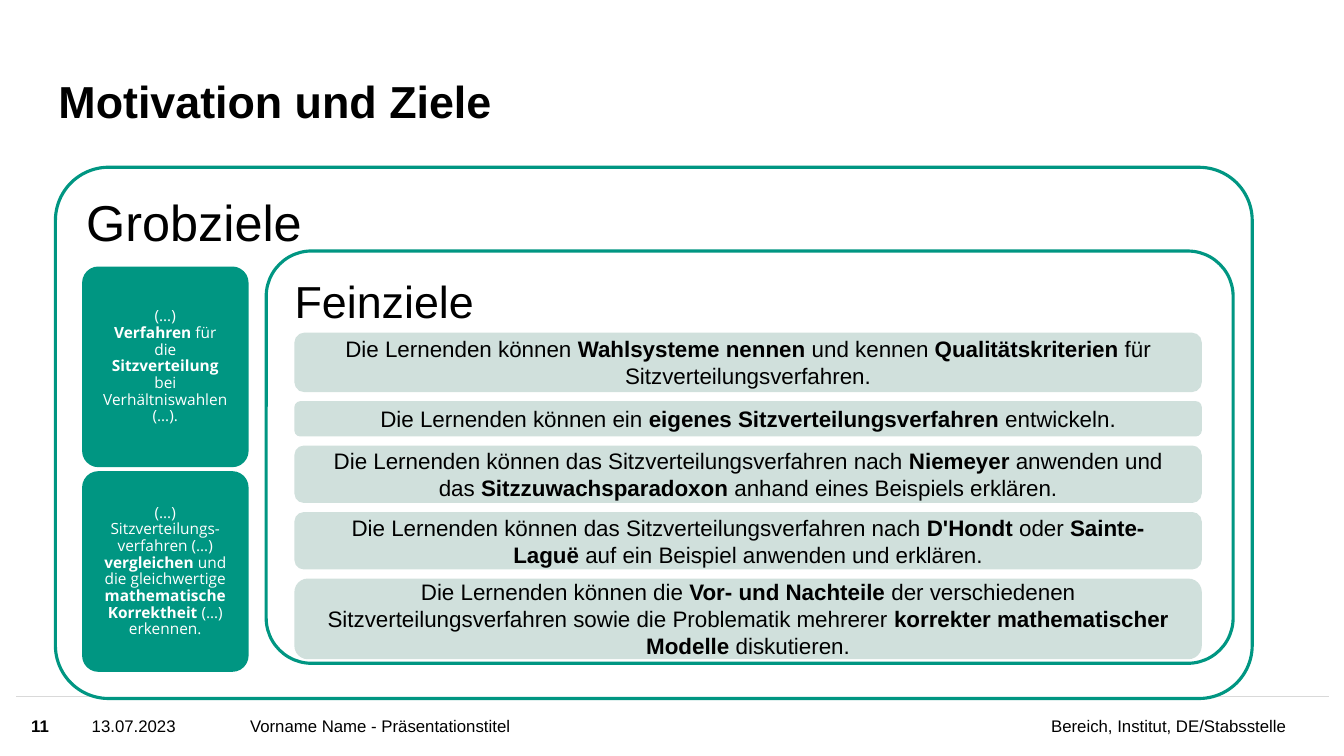
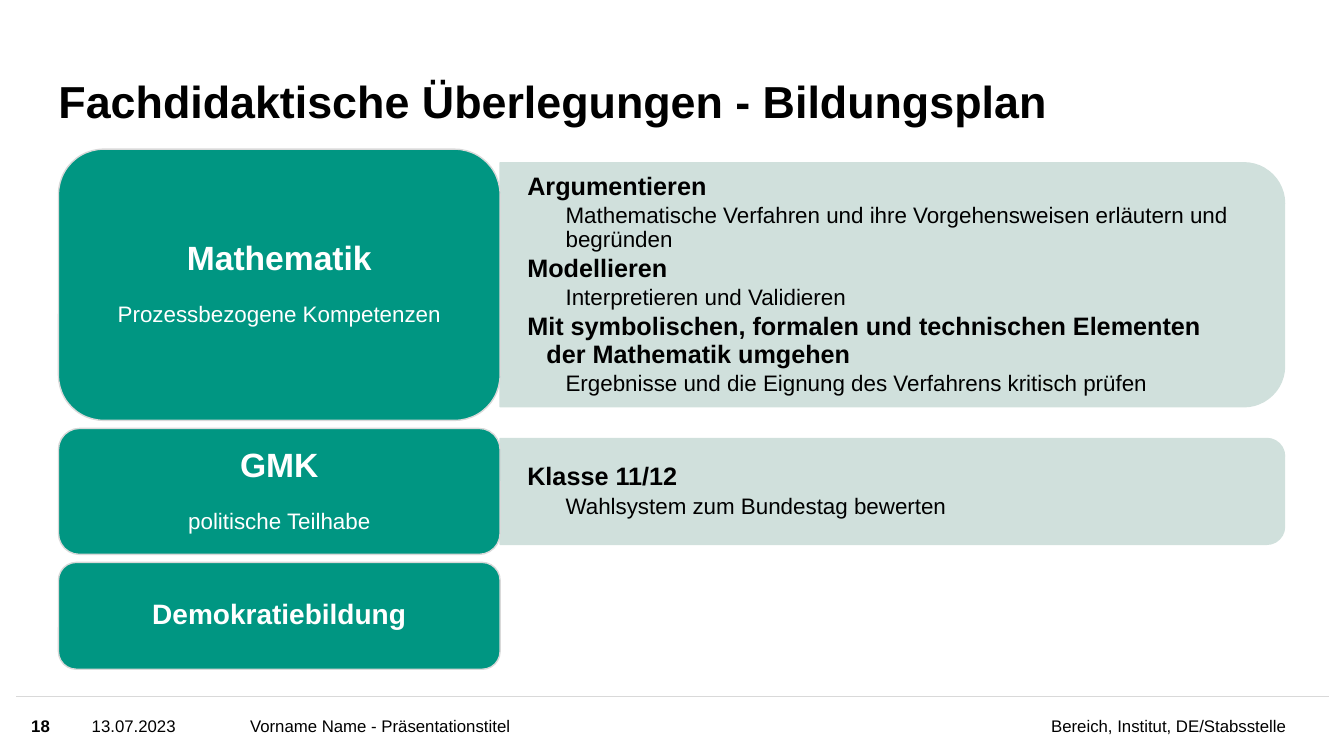
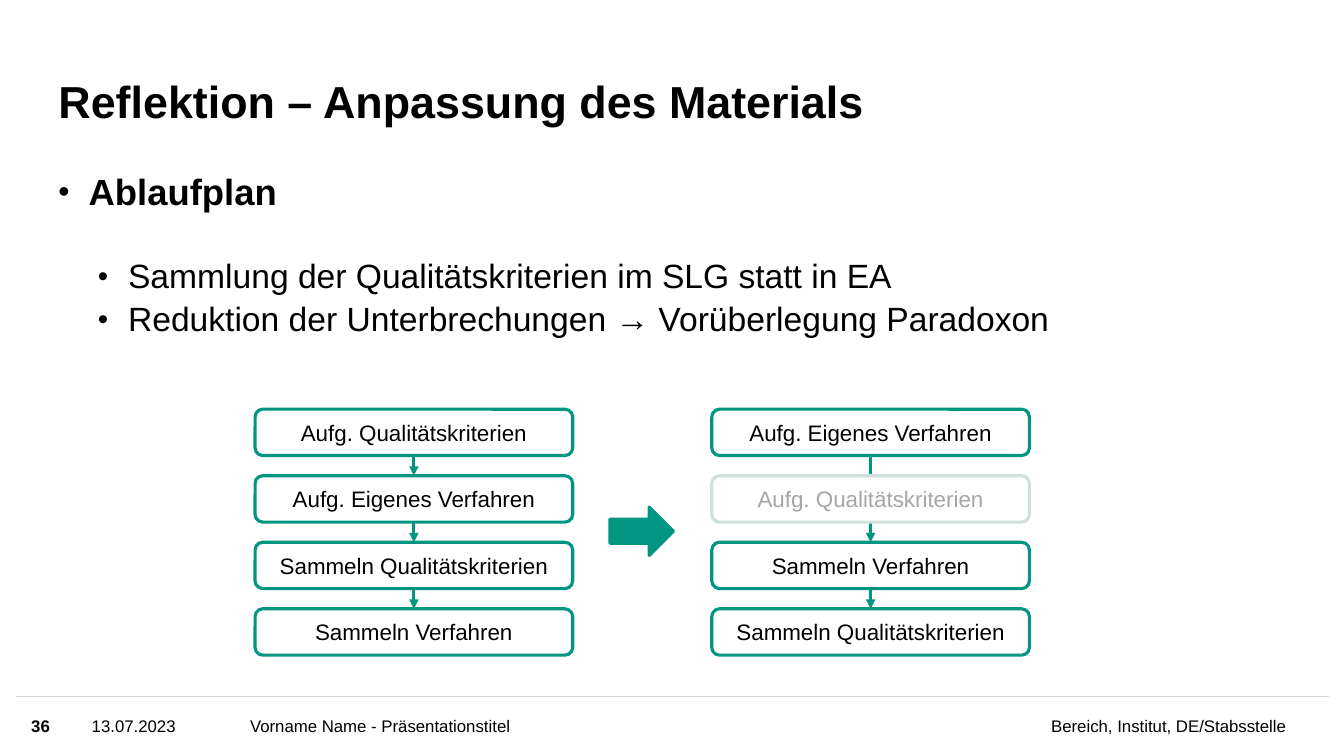
import lxml.etree
import pptx
import pptx.dml.color
import pptx.enum.shapes
import pptx.enum.text
import pptx.oxml.ns
import pptx.util

Inches, Pt = pptx.util.Inches, pptx.util.Pt
SHAPE = pptx.enum.shapes.MSO_SHAPE
ALIGN = pptx.enum.text.PP_ALIGN
ANCHOR = pptx.enum.text.MSO_ANCHOR
qn = pptx.oxml.ns.qn

WIDTH, HEIGHT = 13.33, 7.5
GREEN, PALE, GREY, RULE = "009682", "D0E0DC", "A6A6A6", "D9D9D9"
BLACK, WHITE = "000000", "FFFFFF"
LEFT = 0.58
FOOT_TOP = 6.91
TITLE_ONLY, TITLE_BODY = 5, 1

FOOTER = [
    (0.91, 1.5, "13.07.2023", ALIGN.LEFT),
    (2.48, 5.37, "Vorname Name - Präsentationstitel", ALIGN.LEFT),
    (8.03, 4.73, "Bereich, Institut, DE/Stabsstelle", ALIGN.RIGHT),
]

PANELS = [
    ("Grobziele", 36, (0.55, 1.66, 11.87, 5.27), 0.1),
    ("Feinziele", 32, (2.64, 2.49, 9.59, 4.09), 0.11),
]
BROAD_GOALS = [
    "(…)\n**Verfahren** für die **Sitzverteilung** bei Verhältniswahlen\n(…).",
    "(…)\nSitzverteilungs-verfahren (…) **vergleichen** und die gleichwertige "
    "**mathematische Korrektheit **(…) erkennen.",
]
FINE_GOALS = [
    (0.59, "Die Lernenden können **Wahlsysteme nennen **und kennen "
           "**Qualitätskriterien** für Sitzverteilungsverfahren."),
    (0.35, "Die Lernenden können ein **eigenes Sitzverteilungsverfahren **entwickeln."),
    (0.57, "Die Lernenden können das Sitzverteilungsverfahren nach **Niemeyer** anwenden "
           "und das **Sitzzuwachsparadoxon** anhand eines Beispiels erklären."),
    (0.57, "Die Lernenden können das Sitzverteilungsverfahren nach **D'Hondt **oder "
           "**Sainte-Laguë **auf ein Beispiel anwenden und erklären."),
    (0.8, "Die Lernenden können die **Vor- und Nachteile **der verschiedenen "
          "Sitzverteilungsverfahren sowie die Problematik mehrerer "
          "**korrekter mathematischer Modelle **diskutieren."),
]

SUBJECTS = [
    (2.69, 2.42, "Mathematik", 24, "Prozessbezogene Kompetenzen", [
        ("Argumentieren",
         "Mathematische Verfahren und ihre Vorgehensweisen erläutern und begründen"),
        ("Modellieren", "Interpretieren und Validieren"),
        ("Mit symbolischen, formalen und technischen Elementen der Mathematik umgehen",
         "Ergebnisse und die Eignung des Verfahrens kritisch prüfen"),
    ]),
    (1.25, 1.05, "GMK", 24, "politische Teilhabe",
     [("Klasse 11/12", "Wahlsystem zum Bundestag bewerten")]),
    (1.06, 0, "Demokratiebildung", 20, None, []),
]

BULLETS = [
    ("**Ablaufplan**", 0, 26, 0.3, 0),
    ("Sammlung der Qualitätskriterien im SLG statt in EA", 1, 24, 0.69, 33),
    ("Reduktion der Unterbrechungen → Vorüberlegung Paradoxon", 1, 24, 0.69, 4.8),
]
FLOWS = [
    (2.53, [(0, "Aufg. Qualitätskriterien"), (1, "Aufg. Eigenes Verfahren"),
            (2, "Sammeln Qualitätskriterien"), (3, "Sammeln Verfahren")]),
    (7.06, [(0, "Aufg. Eigenes Verfahren"), (2, "Sammeln Verfahren"),
            (3, "Sammeln Qualitätskriterien")]),
]
DROPPED = (7.06, 1, "Aufg. Qualitätskriterien")


def rgb(color):
    return pptx.dml.color.RGBColor.from_string(color)


def place(sp, box):
    sp.left, sp.top, sp.width, sp.height = map(Inches, box)


def frame(sp, anchor=ANCHOR.MIDDLE, pad=(0, 0)):
    tf = sp.text_frame
    tf.word_wrap = True
    tf.auto_size = pptx.enum.text.MSO_AUTO_SIZE.NONE
    tf.vertical_anchor = anchor
    tf.margin_left = tf.margin_right = Inches(pad[0])
    tf.margin_top = tf.margin_bottom = Inches(pad[1])
    return tf


def write(p, text, size, color=BLACK, align=ALIGN.LEFT, font="Arial", spacing=1.0, before=0):
    p.alignment, p.line_spacing, p.space_before = align, spacing, Pt(before)
    for i, part in enumerate(text.split("**")):
        for j, line in enumerate(part.split("\n")):
            if j:
                p.add_line_break()
            if line:
                r = p.add_run()
                r.text = line
                r.font.name, r.font.size, r.font.bold = font, Pt(size), i % 2 == 1
                r.font.color.rgb = rgb(color)
    for br in p._p.findall(qn("a:br")):
        lxml.etree.SubElement(br, qn("a:rPr"), sz=str(size * 100))


def next_paragraph(tf, i):
    return tf.add_paragraph() if i else tf.paragraphs[0]


def indent(p, left, hanging):
    pPr = p._p.get_or_add_pPr()
    pPr.set("marL", str(Inches(left)))
    pPr.set("indent", str(-Inches(hanging)))
    return pPr


def add_text(slide, box, anchor=ANCHOR.MIDDLE, pad=(0, 0)):
    return frame(slide.shapes.add_textbox(*map(Inches, box)), anchor, pad)


def add_shape(slide, box, fill, line=None, width=2.25, kind=SHAPE.ROUNDED_RECTANGLE, corner=None):
    sp = slide.shapes.add_shape(kind, *map(Inches, box))
    sp.shadow.inherit = False
    sp.fill.solid()
    sp.fill.fore_color.rgb = rgb(fill)
    if line:
        sp.line.color.rgb = rgb(line)
        sp.line.width = Pt(width)
    else:
        sp.line.fill.background()
    if corner:
        sp.adjustments[0] = corner
    return sp


def add_line(slide, start, end, color, width):
    cx = slide.shapes.add_connector(
        pptx.enum.shapes.MSO_CONNECTOR.STRAIGHT, *map(Inches, start + end))
    cx.line.color.rgb = rgb(color)
    cx.line.width = Pt(width)
    lxml.etree.SubElement(cx._element.spPr, qn("a:effectLst"))
    return cx


def add_slide(prs, layout, number, title):
    slide = prs.slides.add_slide(prs.slide_layouts[layout])
    place(slide.shapes.title, (LEFT, 0.43, 10.02, 0.84))
    tf = frame(slide.shapes.title, ANCHOR.BOTTOM)
    write(tf.paragraphs[0], f"**{title}**", 32, spacing=0.9)
    add_line(slide, (0.16, FOOT_TOP), (WIDTH - 0.15, FOOT_TOP), RULE, 1)
    for left, width, text, align in [(0.31, 0.48, f"**{number}**", ALIGN.LEFT)] + FOOTER:
        tf = add_text(slide, (left, FOOT_TOP, width, HEIGHT - FOOT_TOP))
        write(tf.paragraphs[0], text, 12, align=align)
    return slide


def goals_slide(prs):
    slide = add_slide(prs, TITLE_ONLY, 11, "Motivation und Ziele")
    for text, size, box, corner in PANELS:
        sp = add_shape(slide, box, WHITE, GREEN, corner=corner)
        write(frame(sp, ANCHOR.TOP, (0.15, 0.15)).paragraphs[0], text, size, spacing=0.9)
    for i, text in enumerate(BROAD_GOALS):
        sp = add_shape(slide, (0.83, 2.66 + i * 2.03, 1.62, 1.96), GREEN, GREEN, corner=0.09)
        write(frame(sp, pad=(0.15, 0.15)).paragraphs[0], text, 11, WHITE,
              ALIGN.CENTER, "Open Sans", 0.9)
    top = 3.3
    for height, text in FINE_GOALS:
        sp = add_shape(slide, (2.92, top, 9, height), PALE)
        write(frame(sp, pad=(0.27, 0.14)).paragraphs[0], text, 16, align=ALIGN.CENTER)
        top += height + 0.09


def curriculum_slide(prs):
    slide = add_slide(prs, TITLE_ONLY, 18, "Fachdidaktische Überlegungen - Bildungsplan")
    top, width, detail_width = 1.48, 4.38, 7.78
    for height, detail_height, name, size, note, topics in SUBJECTS:
        if topics:
            left, middle = LEFT + width, top + height / 2
            sp = add_shape(slide, (left + (detail_width - detail_height) / 2,
                                   middle - detail_width / 2, detail_height, detail_width),
                           PALE, PALE, 1, SHAPE.ROUND_2_SAME_RECTANGLE)
            sp.rotation = 90
            tf = add_text(slide, (left, middle - detail_height / 2,
                                  detail_width - 0.1, detail_height), pad=(0.27, 0.14))
            lines = [line for head, text in topics
                     for line in ((f"**{head}**", 18, 0.19, 0.19), (text, 16, 0.38, 0))]
            for i, (text, points, margin, hanging) in enumerate(lines):
                p = next_paragraph(tf, i)
                indent(p, margin, hanging)
                write(p, text, points, spacing=0.9, before=2.5 if i else 0)
        sp = add_shape(slide, (LEFT, top, width, height), GREEN, RULE, 1)
        tf = frame(sp, pad=(0.1, 0.05))
        write(tf.paragraphs[0], f"**{name}**", size, WHITE, ALIGN.CENTER, spacing=0.9)
        if note:
            write(tf.add_paragraph(), note, 16, WHITE, ALIGN.CENTER, spacing=0.9, before=18)
        top += height + 0.08


def add_step(slide, left, row, text, line=GREEN, color=BLACK):
    sp = add_shape(slide, (left, 4.06 + row * 0.66, 3.15, 0.46), WHITE, line)
    write(frame(sp, pad=(0.1, 0.05)).paragraphs[0], text, 16, color, ALIGN.CENTER)
    return sp


def reflection_slide(prs):
    slide = add_slide(prs, TITLE_BODY, 36, "Reflektion – Anpassung des Materials")
    body = slide.placeholders[1]
    place(body, (LEFT, 1.73, 12.17, 4.91))
    tf = frame(body, ANCHOR.TOP)
    for i, (text, level, size, margin, before) in enumerate(BULLETS):
        p = next_paragraph(tf, i)
        p.level = level
        pPr = indent(p, margin, 0.3)
        lxml.etree.SubElement(pPr, qn("a:buSzPct"), val="88000")
        lxml.etree.SubElement(pPr, qn("a:buFont"), typeface="Arial")
        lxml.etree.SubElement(pPr, qn("a:buChar"), char="•")
        write(p, text, size, spacing=0.9, before=before)
    for left, steps in FLOWS:
        boxes = [add_step(slide, left, row, text) for row, text in steps]
        for above, below in zip(boxes, boxes[1:]):
            cx = add_line(slide, (0, 0), (0, 0), GREEN, 2.25)
            cx.begin_connect(above, 2)
            cx.end_connect(below, 0)
            lxml.etree.SubElement(cx.line._get_or_add_ln(), qn("a:tailEnd"), type="triangle")
    add_step(slide, *DROPPED, PALE, GREY)
    add_shape(slide, (6.05, 5.03, 0.63, 0.48), GREEN, GREEN, kind=SHAPE.RIGHT_ARROW)


def main():
    prs = pptx.Presentation()
    prs.slide_width, prs.slide_height = Inches(WIDTH), Inches(HEIGHT)
    goals_slide(prs)
    curriculum_slide(prs)
    reflection_slide(prs)
    prs.save("out.pptx")


if __name__ == "__main__":
    main()
